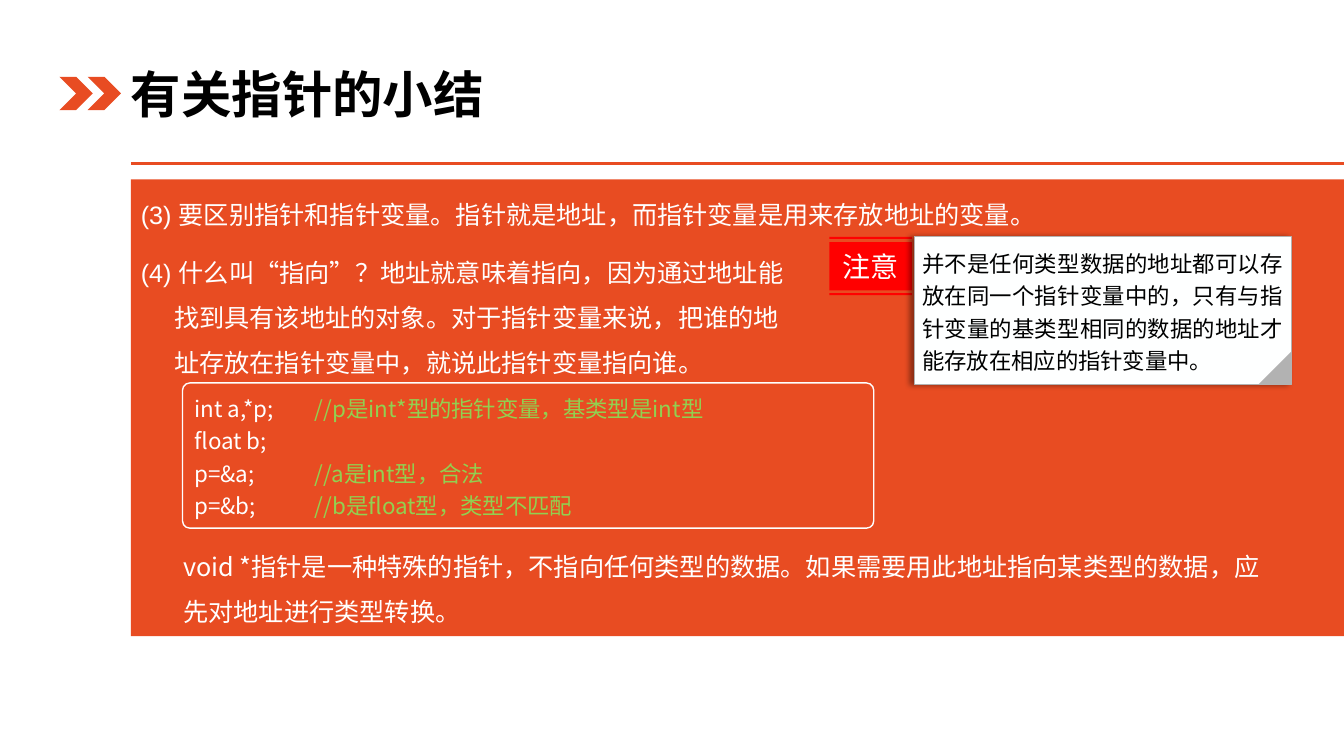
from dataclasses import dataclass

from lxml import etree
from pptx import Presentation
from pptx import util as u
from pptx.dml.color import RGBColor
from pptx.enum import shapes, text
from pptx.oxml import ns

Cm = u.Cm
Kind = shapes.MSO_SHAPE
Align = text.PP_ALIGN


@dataclass(frozen=True)
class Theme:
    main: str = "E84C22"
    black: str = "000000"
    white: str = "FFFFFF"
    paper: str = "FEFFFF"
    gray: str = "B2B2B2"
    red: str = "FF0000"
    green: str = "92D050"
    sans: str = "Arial"
    han: str = "Noto Sans CJK SC"
    title: int = 36
    tag: int = 20
    body: int = 18
    code: int = 16


T = Theme()


def paint(shape, fill=None, line=None, width=0.75):
    shape.shadow.inherit = False
    if fill:
        shape.fill.solid()
        shape.fill.fore_color.rgb = RGBColor.from_string(fill)
    else:
        shape.fill.background()
    if line:
        shape.line.color.rgb = RGBColor.from_string(line)
        shape.line.width = u.Pt(width)
    else:
        shape.line.fill.background()
    return shape


def draw(parent, kind, box, fill=None, line=None, width=0.75):
    shape = parent.add_shape(kind, *map(Cm, box))
    return paint(shape, fill, line, width)


def frame(shape, anchor=text.MSO_ANCHOR.TOP, inset=None):
    tf = shape.text_frame
    tf.word_wrap = True
    tf.vertical_anchor = anchor
    if inset is not None:
        tf.margin_left = tf.margin_right = Cm(inset)
        tf.margin_top = tf.margin_bottom = Cm(inset)
    return tf


def label(parent, box, anchor=text.MSO_ANCHOR.TOP):
    return frame(parent.add_textbox(*map(Cm, box)), anchor)


def style(para, align=Align.LEFT, lead=1.0, after=0):
    para.alignment = align
    para.line_spacing = lead
    para.space_after = u.Pt(after)
    return para


def write(para, words, size, color, font=T.han, bold=False):
    run = para.add_run()
    run.text = words
    run.font.size = u.Pt(size)
    run.font.bold = bold
    run.font.color.rgb = RGBColor.from_string(color)
    run.font.name = font
    etree.SubElement(run.font._element, ns.qn("a:ea"), typeface=T.han)


def header(slide, box):
    x, y, w, h = box
    side, step = 0.84, 0.71
    marks = slide.shapes.add_group_shape().shapes
    for i in range(2):
        spot = (x + i * step, y + (h - side) / 2, side, side)
        draw(marks, Kind.CHEVRON, spot, T.main)
    tf = label(slide.shapes, (x + 1.55, y, w - 1.55, h), text.MSO_ANCHOR.MIDDLE)
    write(style(tf.paragraphs[0]), "有关指针的小结", T.title, T.black, bold=True)


def rule(slide, x, y, end):
    line = slide.shapes.add_connector(
        shapes.MSO_CONNECTOR.STRAIGHT, Cm(x), Cm(y), Cm(end), Cm(y))
    line.line.color.rgb = RGBColor.from_string(T.main)
    line.line.width = u.Pt(2.25)
    etree.SubElement(line._element.spPr, ns.qn("a:effectLst"))


def panel(slide, box):
    x, y, w, h = box
    tf = frame(draw(slide.shapes, Kind.RECTANGLE, box, T.main))
    write(style(tf.paragraphs[0], lead=1.5, after=6),
          "(3) 要区别指针和指针变量。指针就是地址，而指针变量是用来存放地址的变量。",
          T.body, T.white, T.sans)

    tf = label(slide.shapes, (x, y + 1.45, 16.94, 3.71))
    para = style(tf.paragraphs[0], lead=1.5, after=6)
    props = para._p.get_or_add_pPr()
    props.set("marL", str(Cm(0.84)))
    props.set("indent", str(-Cm(0.84)))
    write(para, "(4) 什么叫“指向”？地址就意味着指向，因为通过地址能找到具有该地址的对象。"
          "对于指针变量来说，把谁的地址存放在指针变量中，就说此指针变量指向谁。",
          T.body, T.white, T.sans)

    note(slide, (x + 17.6, y + 1.45, 11.64, 3.71))
    code(slide, (x + 1.3, y + 5.13, 17.42, 3.66))

    tf = label(slide.shapes, (x + 1.07, y + 8.87, 28.17, 2.57))
    write(style(tf.paragraphs[0], lead=1.5),
          "void *指针是一种特殊的指针，不指向任何类型的数据。"
          "如果需要用此地址指向某类型的数据，应先对地址进行类型转换。",
          T.body, T.white)


def note(slide, box):
    x, y, w, h = box
    parts = slide.shapes.add_group_shape().shapes
    wide, gap, fold = 2.08, 2.14, 0.82

    pen = parts.build_freeform(Cm(x), Cm(y))
    bands = [(0, 0.05), (0.13, 1.35), (1.42, 1.47)]
    for i, (top, end) in enumerate(bands):
        if i:
            pen.move_to(Cm(x), Cm(y + top))
        pen.add_line_segments(
            [(Cm(x + wide), Cm(y + top)), (Cm(x + wide), Cm(y + end)),
             (Cm(x), Cm(y + end))], close=True)
    tag = paint(pen.convert_to_shape(), T.red)
    tf = frame(tag, text.MSO_ANCHOR.MIDDLE)
    write(style(tf.paragraphs[0], Align.CENTER), "注意", T.tag, T.paper)

    page = draw(parts, Kind.RECTANGLE, (x + gap, y, w - gap, h), T.paper, T.gray)
    glow = etree.SubElement(
        page._element.spPr.find(ns.qn("a:effectLst")), ns.qn("a:outerShdw"),
        blurRad=str(u.Pt(4)), dist=str(u.Pt(3)), dir="10800000",
        algn="r", rotWithShape="0")
    tint = etree.SubElement(glow, ns.qn("a:srgbClr"), val=T.black)
    etree.SubElement(tint, ns.qn("a:alpha"), val="40000")
    tf = frame(page, inset=0.2)
    write(style(tf.paragraphs[0], Align.JUSTIFY, 1.2, 6),
          "并不是任何类型数据的地址都可以存放在同一个指针变量中的，"
          "只有与指针变量的基类型相同的数据的地址才能存放在相应的指针变量中。",
          T.code, T.black, T.sans)

    spot = (x + w - fold, y + h - fold, fold, fold)
    draw(parts, Kind.RIGHT_TRIANGLE, spot, T.gray).rotation = 270


def code(slide, box):
    shape = draw(slide.shapes, Kind.ROUNDED_RECTANGLE, box, line=T.white, width=1)
    shape.adjustments[0] = 0.05
    tf = frame(shape)
    lines = [("int a,*p;", "//p是int*型的指针变量，基类型是int型"),
             ("float b;", ""),
             ("p=&a;", "//a是int型，合法"),
             ("p=&b;", "//b是float型，类型不匹配")]
    for i, (left, hint) in enumerate(lines):
        para = style(tf.add_paragraph() if i else tf.paragraphs[0], lead=1.2)
        stops = etree.SubElement(para._p.get_or_add_pPr(), ns.qn("a:tabLst"))
        etree.SubElement(stops, ns.qn("a:tab"), pos=str(Cm(3.03)), algn="l")
        write(para, left + ("\t" if hint else ""), T.code, T.white)
        if hint:
            write(para, hint, T.code, T.green)


def main():
    deck = Presentation()
    deck.slide_width, deck.slide_height = Cm(33.87), Cm(19.05)
    slide = deck.slides.add_slide(deck.slide_layouts[6])
    rule(slide, 3.3, 4.11, 33.87)
    header(slide, (1.5, 1.35, 16.64, 2.01))
    panel(slide, (3.3, 4.52, 30.57, 11.51))
    deck.save("out.pptx")


if __name__ == "__main__":
    main()
